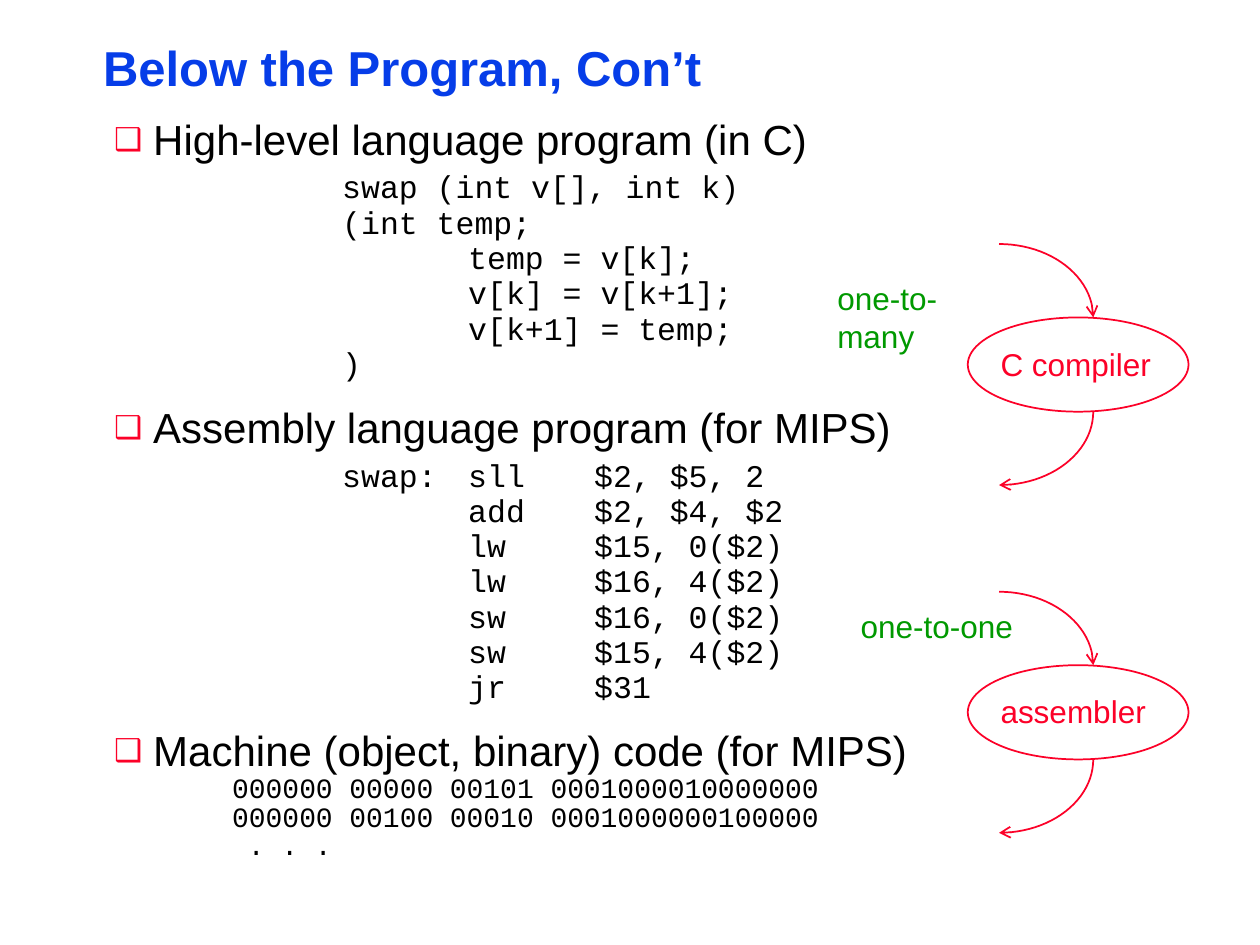
from dataclasses import dataclass
from math import cos, pi, sin

from lxml import etree
from pptx import Presentation
from pptx import util as u
from pptx.dml.color import RGBColor
from pptx.enum import shapes, text
from pptx.oxml import ns


@dataclass(frozen=True)
class Theme:
    """Colours, fonts and type sizes of the page."""
    title: str = "063DE8"
    body: str = "000000"
    accent: str = "FC0128"
    ratio: str = "009900"
    sans: str = "Arial"
    mono: str = "Courier New"
    title_size: int = 28
    heading_size: int = 24
    code_size: int = 18
    binary_size: int = 16
    line_width: int = 1


THEME = Theme()

C_CODE = [
    "\t\tswap (int v[], int k)",
    "\t\t(int temp;",
    "\t\t\ttemp = v[k];",
    "\t\t\tv[k] = v[k+1];",
    "\t\t\tv[k+1] = temp;",
    "\t\t)",
]
ASSEMBLY = [
    "\t\tswap:\tsll\t$2, $5, 2",
    "\t\t\tadd\t$2, $4, $2",
    "\t\t\tlw\t$15, 0($2)",
    "\t\t\tlw\t$16, 4($2)",
    "\t\t\tsw\t$16, 0($2)",
    "\t\t\tsw\t$15, 4($2)",
    "\t\t\tjr\t$31",
]
BINARY = [
    "   000000 00000 00101 0001000010000000",
    "   000000 00100 00010 0001000000100000",
]


def style(para, size, color, face=THEME.sans, bold=False):
    """Set the font of a whole paragraph."""
    font = para.font
    font.size, font.name, font.bold = u.Pt(size), face, bold
    font.color.rgb = RGBColor.from_string(color)


def add_box(parent, left, top, width, height, inset=(0.18, 0.08), wrap=True):
    """Add an empty text box and return its frame."""
    box = parent.shapes.add_textbox(u.Cm(left), u.Cm(top), u.Cm(width), u.Cm(height))
    frame = box.text_frame
    frame.word_wrap = wrap
    frame.auto_size = text.MSO_AUTO_SIZE.SHAPE_TO_FIT_TEXT
    frame.vertical_anchor = text.MSO_ANCHOR.TOP
    frame.margin_left = frame.margin_right = u.Cm(inset[0])
    frame.margin_top = frame.margin_bottom = u.Cm(inset[1])
    return frame


def add_label(parent, left, top, width, words, color):
    """Add a one-line label that does not wrap."""
    frame = add_box(parent, left, top, width, 1.02, (0.25, 0.13), wrap=False)
    para = frame.paragraphs[0]
    para.text = words
    style(para, THEME.code_size, color)


def add_para(frame, words, level, margin, hanging, spacing, before=0):
    """Fill the first empty paragraph, or append one, with a hanging indent."""
    first = frame.paragraphs[0]
    para = frame.add_paragraph() if first.runs else first
    para.add_run().text = words
    para.level, para.line_spacing = level, spacing
    para.space_before = u.Pt(before if para is not first else 0)
    props = para._p.get_or_add_pPr()
    props.set("marL", str(u.Cm(margin)))
    props.set("indent", str(-u.Cm(hanging)))
    props.set("defTabSz", str(u.Cm(2.54)))
    return para


def add_heading(frame, words):
    """Add a heading with a small box bullet."""
    para = add_para(frame, words, 0, 0.79, 0.79, 0.9, 15.6)
    props = para._p.get_or_add_pPr()
    color = etree.SubElement(props, ns.qn("a:buClr"))
    etree.SubElement(color, ns.qn("a:srgbClr"), val=THEME.accent)
    etree.SubElement(props, ns.qn("a:buSzPct"), val="75000")
    etree.SubElement(props, ns.qn("a:buFont"), typeface=THEME.sans)
    etree.SubElement(props, ns.qn("a:buChar"), char="❑")
    style(para, THEME.heading_size, THEME.body)


def add_code(frame, lines):
    """Add tightly set code lines, the first a little further down."""
    for index, line in enumerate(lines):
        para = add_para(frame, line, 1, 2.06, 0.69, 0.6, 7.2 if index else 9.4)
        style(para, THEME.code_size, THEME.body, THEME.mono)


def add_binary(frame, lines):
    """Add machine words followed by an ellipsis line."""
    paras = [add_para(frame, line, 1, 2.06, 0.69, 0.85) for line in lines]
    paras.append(add_para(frame, ". . .", 2, 3.18, 0.48, 0.85))
    for para in paras:
        style(para, THEME.binary_size, THEME.body, THEME.mono)


def outline(shape):
    """Give a shape an accent line with neither fill nor shadow."""
    shape.shadow.inherit = False
    shape.fill.background()
    shape.line.color.rgb = RGBColor.from_string(THEME.accent)
    shape.line.width = u.Pt(THEME.line_width)


def add_curve(parent, left, base, rise, arrow_end):
    """Add a quarter ellipse that ends at the tool oval, with an arrowhead."""
    steps = 24
    angles = [pi / 2 * step / steps for step in range(steps + 1)]
    points = [(u.Cm(left + 1.9 * sin(a)), u.Cm(base - rise * cos(a))) for a in angles]
    builder = parent.shapes.build_freeform(*points[0])
    builder.add_line_segments(points[1:], close=False)
    curve = builder.convert_to_shape()
    outline(curve)
    line = curve.element.spPr.find(ns.qn("a:ln"))
    etree.SubElement(line, ns.qn(arrow_end), type="arrow")


def add_tool(page, top, name, label_width):
    """Add a translation tool with the curves into and out of it."""
    group = page.shapes.add_group_shape()
    height, rise, left = 1.9, 1.48, 20.14
    oval = group.shapes.add_shape(
        shapes.MSO_SHAPE.OVAL, u.Cm(19.51), u.Cm(top), u.Cm(4.45), u.Cm(height))
    outline(oval)
    add_label(group, 19.92, top + 0.42, label_width, name, THEME.accent)
    add_curve(group, left, top, rise, "a:tailEnd")
    add_curve(group, left, top + height, -rise, "a:headEnd")


def main():
    """Build and save the deck."""
    deck = Presentation()
    deck.slide_width, deck.slide_height = u.Cm(25.4), u.Cm(19.05)
    page = deck.slides.add_slide(deck.slide_layouts[6])

    title = add_box(page, 1.9, 0.84, 13.97, 2.24).paragraphs[0]
    title.text, title.line_spacing = "Below the Program, Con’t", 0.87
    style(title, THEME.title_size, THEME.title, bold=True)

    body = add_box(page, 2.12, 2.32, 21.79, 16.15)
    add_heading(body, "High-level language program (in C)")
    add_code(body, C_CODE)
    add_heading(body, "Assembly language program (for MIPS)")
    add_code(body, ASSEMBLY)
    add_heading(body, "Machine (object, binary) code (for MIPS)")
    add_binary(body, BINARY)

    add_tool(page, 6.4, "C compiler", 3.56)
    add_tool(page, 13.41, "assembler", 3.43)
    add_label(page, 16.63, 5.5, 4.06, "one-to-many", THEME.ratio)
    add_label(page, 17.1, 12.11, 3.58, "one-to-one", THEME.ratio)
    deck.save("out.pptx")


if __name__ == "__main__":
    main()
